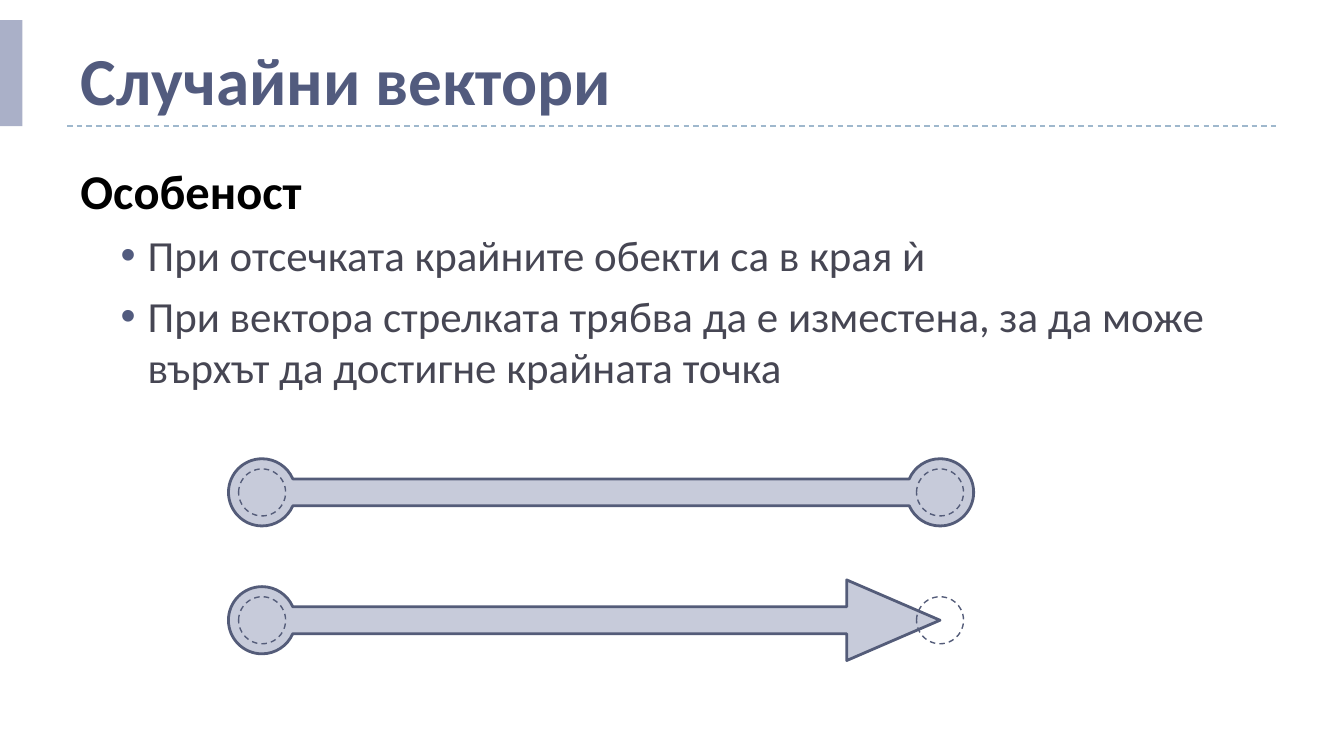
import math

from lxml import etree
from pptx import Presentation
from pptx.dml.color import RGBColor
from pptx.enum import dml, shapes, text
from pptx.oxml import ns
from pptx.util import Pt

FONT = "Calibri"
ACCENT, OUTLINE, FILL = "525B7E", "545C79", "C7CBDA"
BALL_RADIUS, BAR_HALF, DOT_RADIUS = 18, 7.2, 12.6
HEAD_LENGTH, HEAD_HALF = 50, 21.6


def color(value):
    return RGBColor.from_string(value)


def format_runs(paragraph, size, value, bold=False):
    for run in paragraph.runs:
        run.font.name = FONT
        run.font.size = Pt(size)
        run.font.bold = bold
        run.font.color.rgb = color(value)


def set_line(shape, value, width, dashed=False):
    shape.line.color.rgb = color(value)
    shape.line.width = Pt(width)
    if dashed:
        shape.line.dash_style = dml.MSO_LINE.DASH


def add_bullet(paragraph):
    properties = paragraph._p.get_or_add_pPr()
    properties.set("marL", str(Pt(36)))
    properties.set("indent", str(-Pt(14.4)))
    bullet_color = etree.SubElement(properties, ns.qn("a:buClr"))
    etree.SubElement(bullet_color, ns.qn("a:srgbClr")).set("val", ACCENT)
    etree.SubElement(properties, ns.qn("a:buFont")).set("typeface", "Arial")
    etree.SubElement(properties, ns.qn("a:buChar")).set("char", "•")


def add_header(slide, left, top, width, height):
    bottom = top + height
    rule = slide.shapes.add_connector(
        shapes.MSO_CONNECTOR.STRAIGHT, Pt(left), Pt(bottom), Pt(left + 648), Pt(bottom))
    set_line(rule, "9FB8CD", 0.75, dashed=True)
    etree.SubElement(rule._element.spPr, ns.qn("a:effectLst"))

    tab = slide.shapes.add_shape(
        shapes.MSO_SHAPE.RECTANGLE, 0, Pt(top + 2), Pt(12), Pt(height - 2))
    tab.shadow.inherit = False
    tab.fill.solid()
    tab.fill.fore_color.rgb = color("AAB0C8")
    tab.line.fill.background()

    title = slide.shapes.title
    title.left, title.top = Pt(left), Pt(top)
    title.width, title.height = Pt(width), Pt(height)
    frame = title.text_frame
    frame.text = "Случайни вектори"
    frame.vertical_anchor = text.MSO_ANCHOR.BOTTOM
    frame.paragraphs[0].alignment = text.PP_ALIGN.LEFT
    format_runs(frame.paragraphs[0], 36, ACCENT, bold=True)


def add_body(slide, left, top, width, height, heading, bullets):
    box = slide.shapes.add_textbox(Pt(left), Pt(top), Pt(width), Pt(height))
    frame = box.text_frame
    frame.word_wrap = True
    frame.text = heading
    format_runs(frame.paragraphs[0], 26, "000000", bold=True)
    for bullet in bullets:
        paragraph = frame.add_paragraph()
        paragraph.text = bullet
        add_bullet(paragraph)
        paragraph.space_before = Pt(5)
        format_runs(paragraph, 23, "464653")


def ball_points(x, y, facing):
    """Bezier points of a clockwise arc, open where the bar joins at angle facing."""
    gap = math.asin(BAR_HALF / BALL_RADIUS)
    quarter = math.pi / 2
    angles = [gap, quarter, 2 * quarter, 3 * quarter, 4 * quarter - gap]

    def place(angle, along=0):
        cos, sin = math.cos(angle + facing), math.sin(angle + facing)
        return (x + BALL_RADIUS * (cos - along * sin),
                y + BALL_RADIUS * (sin + along * cos))

    points = [place(gap)]
    for first, last in zip(angles, angles[1:]):
        handle = 4 / 3 * math.tan((last - first) / 4)
        points += [place(first, handle), place(last, -handle), place(last)]
    return points


def head_points(x, y):
    base = x - HEAD_LENGTH
    return [(base, y - BAR_HALF), (base, y - HEAD_HALF), (x, y),
            (base, y + HEAD_HALF), (base, y + BAR_HALF)]


def merge_curves(segments):
    """Turn each three successive line segments into one cubic curve."""
    for index in range(0, len(segments), 3):
        group = segments[index:index + 3]
        curve = etree.Element(ns.qn("a:cubicBezTo"))
        group[0].addprevious(curve)
        for segment in group:
            curve.append(segment[0])
            segment.getparent().remove(segment)


def add_bar(slide, start, end, y, arrow):
    """Bar from a ball at start to a ball or an arrowhead at end."""
    ball = ball_points(start, y, 0)
    tip = head_points(end, y) if arrow else ball_points(end, y, math.pi)
    points = [(Pt(px), Pt(py)) for px, py in ball + tip]
    builder = slide.shapes.build_freeform(*points[0])
    builder.add_line_segments(points[1:], close=True)
    bar = builder.convert_to_shape()
    segments = list(bar._element.iter(ns.qn("a:lnTo")))
    curved = len(ball) - 1
    merge_curves(segments[:curved])
    if not arrow:
        merge_curves(segments[len(ball):len(ball) + curved])
    bar.shadow.inherit = False
    bar.fill.solid()
    bar.fill.fore_color.rgb = color(FILL)
    set_line(bar, OUTLINE, 1.5)

    for x in (start, end):
        dot = slide.shapes.add_shape(
            shapes.MSO_SHAPE.OVAL, Pt(x - DOT_RADIUS), Pt(y - DOT_RADIUS),
            Pt(2 * DOT_RADIUS), Pt(2 * DOT_RADIUS))
        dot.shadow.inherit = False
        dot.fill.background()
        set_line(dot, OUTLINE, 0.75, dashed=True)


def main():
    presentation = Presentation()
    presentation.slide_width, presentation.slide_height = Pt(720), Pt(405)
    slide = presentation.slides.add_slide(presentation.slide_layouts[5])
    add_header(slide, 36, 8.8, 672, 58.8)
    add_body(slide, 36, 82.8, 672, 318, "Особеност", [
        "При отсечката крайните обекти са в края ѝ",
        "При вектора стрелката трябва да е изместена, "
        "за да може върхът да достигне крайната точка",
    ])
    add_bar(slide, 140.4, 503.6, 263.8, arrow=False)
    add_bar(slide, 140.4, 503.6, 332.3, arrow=True)
    presentation.save("out.pptx")


if __name__ == "__main__":
    main()
